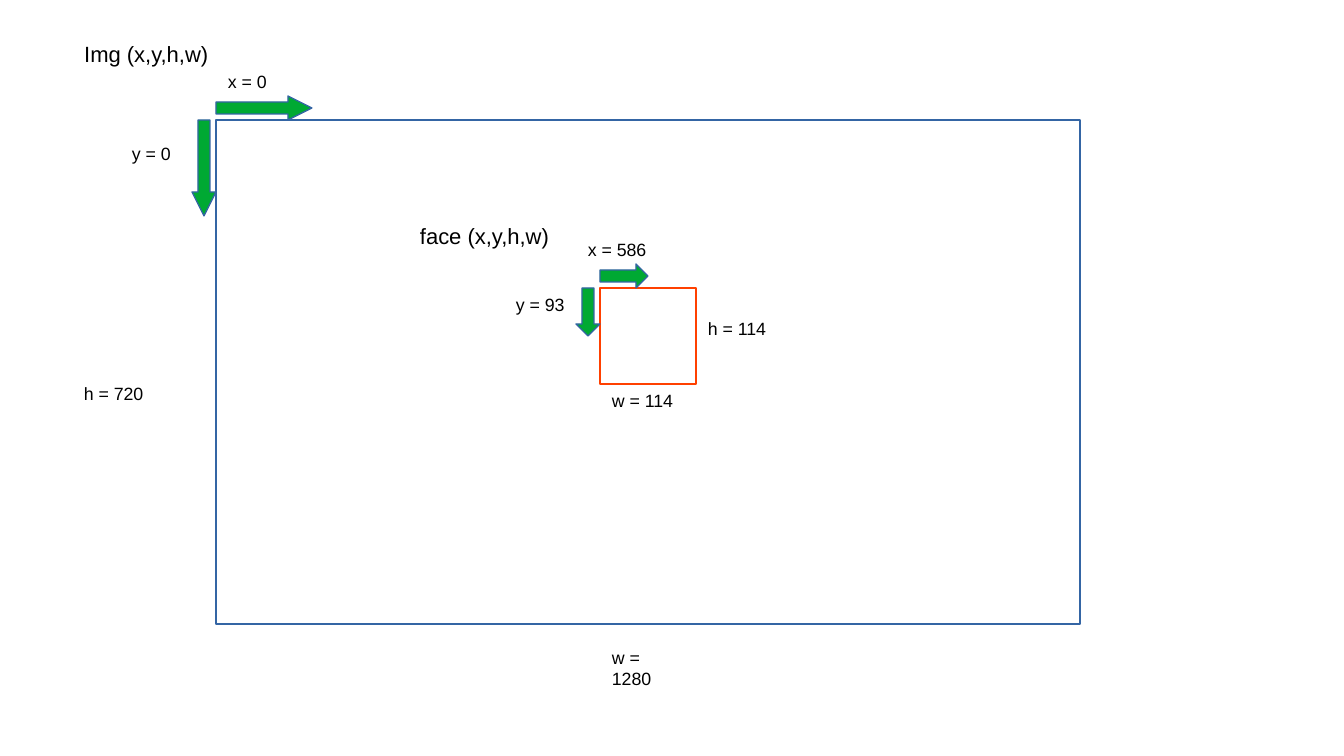
from dataclasses import dataclass

from pptx import Presentation
from pptx.dml.color import RGBColor as RGB
from pptx.enum.shapes import MSO_SHAPE as SHAPE
from pptx.enum.text import MSO_ANCHOR as ANCHOR, MSO_AUTO_SIZE as FIT, PP_ALIGN as ALIGN
from pptx.util import Cm, Inches, Pt


@dataclass(frozen=True)
class Theme:
    """Colours, font and sizes of the slide."""
    image: RGB = RGB(0x34, 0x65, 0xA4)
    face: RGB = RGB(0xFF, 0x40, 0x00)
    arrow: RGB = RGB(0x00, 0xA9, 0x33)
    text: RGB = RGB(0, 0, 0)
    font: str = "Arial"
    heading: float = 13
    label: float = 10.5


THEME = Theme()
COLS, ROWS = 56, 31.5
HEADING_H, LABEL_H = 1.57, 1.32


def grid(*cells):
    """Turn grid cells of half a centimetre into lengths."""
    return [Cm(c / 2) for c in cells]


def add_outline(s, kind, box, color, width, fill=None):
    """Draw a preset shape in a grid box."""
    sp = s.shapes.add_shape(kind, *grid(*box))
    sp.shadow.inherit = False
    sp.line.color.rgb = color
    sp.line.width = Pt(width)
    if fill is None:
        sp.fill.background()
    else:
        sp.fill.solid()
        sp.fill.fore_color.rgb = fill
    return sp


def add_arrow(s, kind, box, head):
    """Draw a green axis arrow with the given head length."""
    sp = add_outline(s, kind, box, THEME.image, 0, THEME.arrow)
    sp.adjustments[0] = 0.5
    sp.adjustments[1] = head


def write(sp, text, size):
    """Write one left-aligned run into a text shape."""
    tf = sp.text_frame
    tf.word_wrap = True
    tf.auto_size = FIT.SHAPE_TO_FIT_TEXT
    tf.vertical_anchor = ANCHOR.TOP
    tf.margin_left = tf.margin_right = Inches(0.1)
    tf.margin_top = tf.margin_bottom = Inches(0.05)
    p = tf.paragraphs[0]
    p.alignment = ALIGN.LEFT
    r = p.add_run()
    r.text = text
    r.font.name = THEME.font
    r.font.size = Pt(size)
    r.font.color.rgb = THEME.text


def add_region(s, box, color, arrow, head, heading, labels, title=None):
    """Draw a frame with its axis arrows, heading and labels."""
    x, y, w, h = box
    add_outline(s, SHAPE.RECTANGLE, box, color, 1)
    add_arrow(s, SHAPE.RIGHT_ARROW, (x, y - 1, arrow, 1), head)
    add_arrow(s, SHAPE.DOWN_ARROW, (x - 1, y, 1, arrow), head)

    text, dx, dy, width = heading
    place = grid(x + dx, y + dy, width, HEADING_H)
    sp = title or s.shapes.add_textbox(*place)
    sp.left, sp.top, sp.width, sp.height = place
    write(sp, text, THEME.heading)

    for text, dx, dy, width in labels:
        sp = s.shapes.add_textbox(*grid(x + dx, y + dy, width, LABEL_H))
        write(sp, text, THEME.label)


def main():
    """Build the slide and save it."""
    prs = Presentation()
    prs.slide_width, prs.slide_height = grid(COLS, ROWS)
    s = prs.slides.add_slide(prs.slide_layouts[5])
    add_region(
        s, (9, 5, 36, 21), THEME.image, 4, 1,
        ("Img (x,y,h,w)", -6, -3.57, 7),
        [("x = 0", 0, -2.32, 3), ("y = 0", -4, 0.68, 3),
         ("h = 720", -6, 10.68, 4), ("w = 1280", 16, 21.68, 4)],
        s.shapes.title)
    add_region(
        s, (25, 12, 4, 4), THEME.face, 2, 0.5,
        ("face (x,y,h,w)", -8, -3, 7),
        [("x = 586", -1, -2.32, 5), ("y = 93", -4, 0, 4),
         ("h = 114", 4, 1, 4), ("w = 114", 0, 4, 4)])
    prs.save("out.pptx")


if __name__ == "__main__":
    main()
